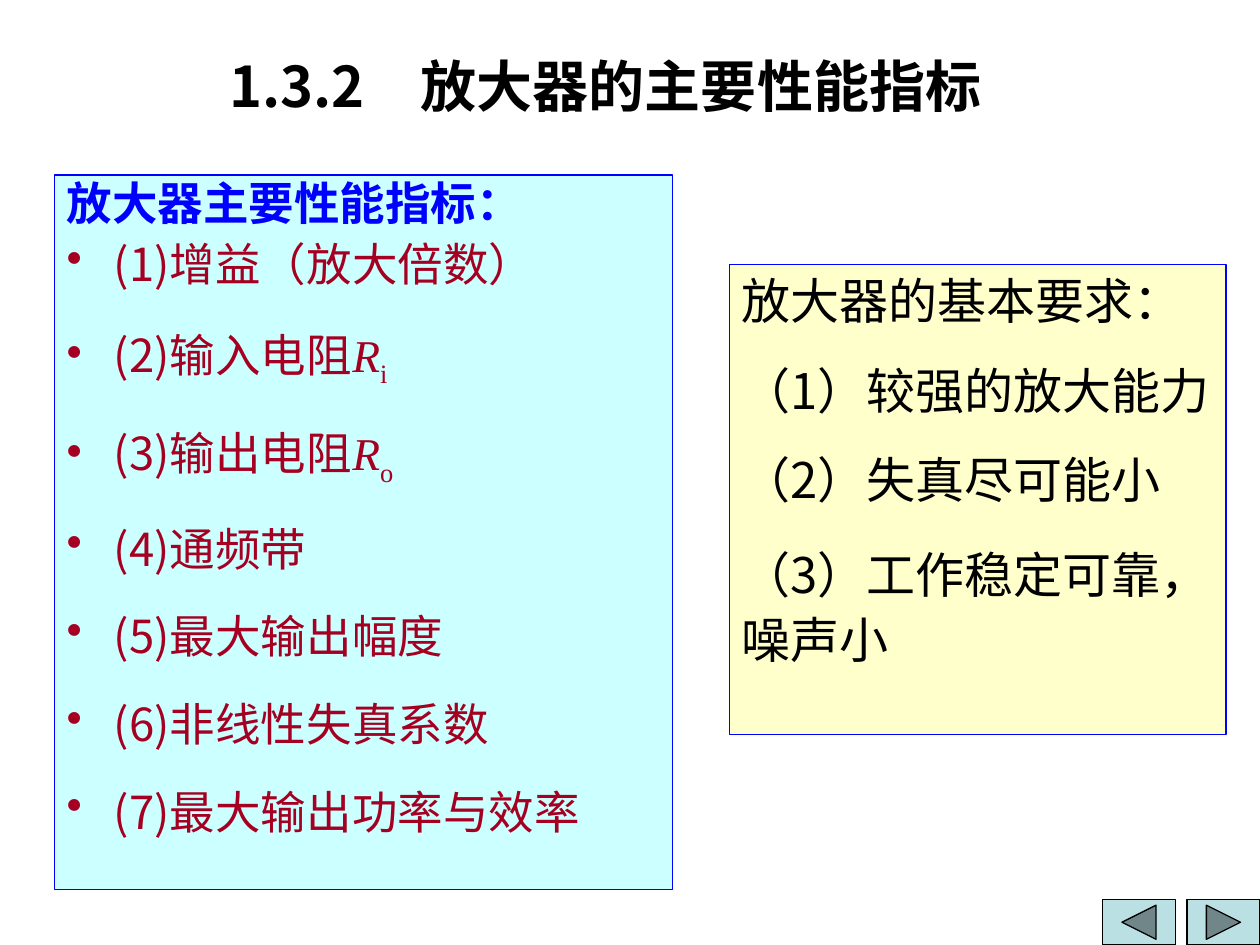
from lxml.etree import SubElement
from pptx import Presentation
from pptx.dml.color import RGBColor
from pptx.enum.shapes import MSO_SHAPE
from pptx.enum.text import MSO_ANCHOR, MSO_AUTO_SIZE, PP_ALIGN
from pptx.oxml.ns import qn
from pptx.util import Pt

BLACK = RGBColor(0x00, 0x00, 0x00)
BLUE = RGBColor(0x00, 0x00, 0xFF)
RED = RGBColor(0xA5, 0x00, 0x21)
CYAN = RGBColor(0xCC, 0xFF, 0xFF)
CREAM = RGBColor(0xFF, 0xFF, 0xCC)
TEAL = RGBColor(0xBB, 0xE0, 0xE3)
SANS = "Noto Sans CJK SC"
SERIF = "Times New Roman"

ITEMS = [
    ("(1)增益（放大倍数）", ""),
    ("(2)输入电阻", "i"),
    ("(3)输出电阻", "o"),
    ("(4)通频带", ""),
    ("(5)最大输出幅度", ""),
    ("(6)非线性失真系数", ""),
    ("(7)最大输出功率与效率", ""),
]
NEEDS = [
    "放大器的基本要求：",
    "（1）较强的放大能力",
    "（2）失真尽可能小",
    "（3）工作稳定可靠，噪声小",
]


def set_all(obj, values):
    for name, value in values.items():
        setattr(obj, name, value)


def place(shape, box):
    set_all(shape, dict(zip(("left", "top", "width", "height"), map(Pt, box))))


def add_run(para, text, color, face=SANS, sub=False, **style):
    run = para.add_run()
    run.text = text
    set_all(run.font, {"name": face, **style})
    run.font.color.rgb = color
    props = run.font._element
    SubElement(props, qn("a:ea")).set("typeface", face)
    if sub:
        props.set("baseline", "-25000")


def set_frame(shape, anchor=MSO_ANCHOR.TOP):
    frame = shape.text_frame
    set_all(frame, {
        "word_wrap": True, "auto_size": MSO_AUTO_SIZE.NONE,
        "vertical_anchor": anchor,
        "margin_left": Pt(7.2), "margin_right": Pt(7.2),
        "margin_top": Pt(3.6), "margin_bottom": Pt(3.6),
    })
    return frame


def add_para(frame, first, **style):
    para = frame.paragraphs[0] if first else frame.add_paragraph()
    set_all(para, {"alignment": PP_ALIGN.LEFT, **style})
    return para


def hang(para, color=None):
    props = para._p.get_or_add_pPr()
    props.set("marL", str(Pt(27)))
    props.set("indent", str(-Pt(27)))
    if color is not None:
        tint = SubElement(props, qn("a:buClr"))
        SubElement(tint, qn("a:srgbClr")).set("val", str(color))
        SubElement(props, qn("a:buChar")).set("char", "•")


def add_panel(slide, box, fill, line, kind=MSO_SHAPE.RECTANGLE):
    panel = slide.shapes.add_shape(kind, *map(Pt, box))
    panel.shadow.inherit = False
    panel.fill.solid()
    panel.fill.fore_color.rgb = fill
    panel.line.color.rgb = line
    panel.line.width = Pt(0.75)
    return panel


def add_title(slide, box):
    title = slide.shapes.title
    place(title, box)
    frame = set_frame(title)
    para = add_para(frame, True, space_before=Pt(20))
    para.alignment = PP_ALIGN.CENTER
    add_run(para, "1.3.2\u3000放大器的主要性能指标".replace("\u3000", "　"),
            BLACK, size=Pt(32), bold=True)


def add_index(slide, box):
    frame = set_frame(add_panel(slide, box, CYAN, BLUE))
    size = Pt(26)
    head = add_para(frame, True, line_spacing=0.9, space_before=Pt(6.5))
    hang(head)
    add_run(head, "放大器主要性能指标：", BLUE, size=size, bold=True)
    for row, (text, mark) in enumerate(ITEMS):
        para = add_para(frame, False, line_spacing=1.4 if row else 0.9,
                        space_before=Pt(6.5))
        hang(para, RED)
        add_run(para, text, RED, size=size)
        if mark:
            add_run(para, "R", RED, SERIF, size=size, italic=True)
            add_run(para, mark, RED, SERIF, sub=True, size=size)


def add_needs(slide, box):
    frame = set_frame(add_panel(slide, box, CREAM, BLUE))
    for row, text in enumerate(NEEDS):
        last = row == len(NEEDS) - 1
        para = add_para(frame, row == 0, space_before=Pt(17.5),
                        line_spacing=1.1 if last else 1.0)
        add_run(para, text, BLACK, size=Pt(28))


def add_nav(slide, box):
    left, top, width, height = box
    wide = 41.76
    kinds = (MSO_SHAPE.ACTION_BUTTON_BACK_OR_PREVIOUS,
             MSO_SHAPE.ACTION_BUTTON_FORWARD_OR_NEXT)
    for kind, x in zip(kinds, (left, left + width - wide)):
        add_panel(slide, (x, top, wide, height), TEAL, BLACK, kind)


def main():
    deck = Presentation()
    set_all(deck, {"slide_width": Pt(720), "slide_height": Pt(540)})
    slide = deck.slides.add_slide(deck.slide_layouts[5])
    # Heading
    add_title(slide, (87.84, 25.92, 516.24, 46.08))
    # List of performance figures
    add_index(slide, (30.96, 100.08, 353.52, 408.24))
    # Back and forward buttons
    add_nav(slide, (630, 514, 90, 26))
    # Basic requirements
    add_needs(slide, (416.88, 151.2, 283.68, 268.56))
    deck.save("out.pptx")


if __name__ == "__main__":
    main()
